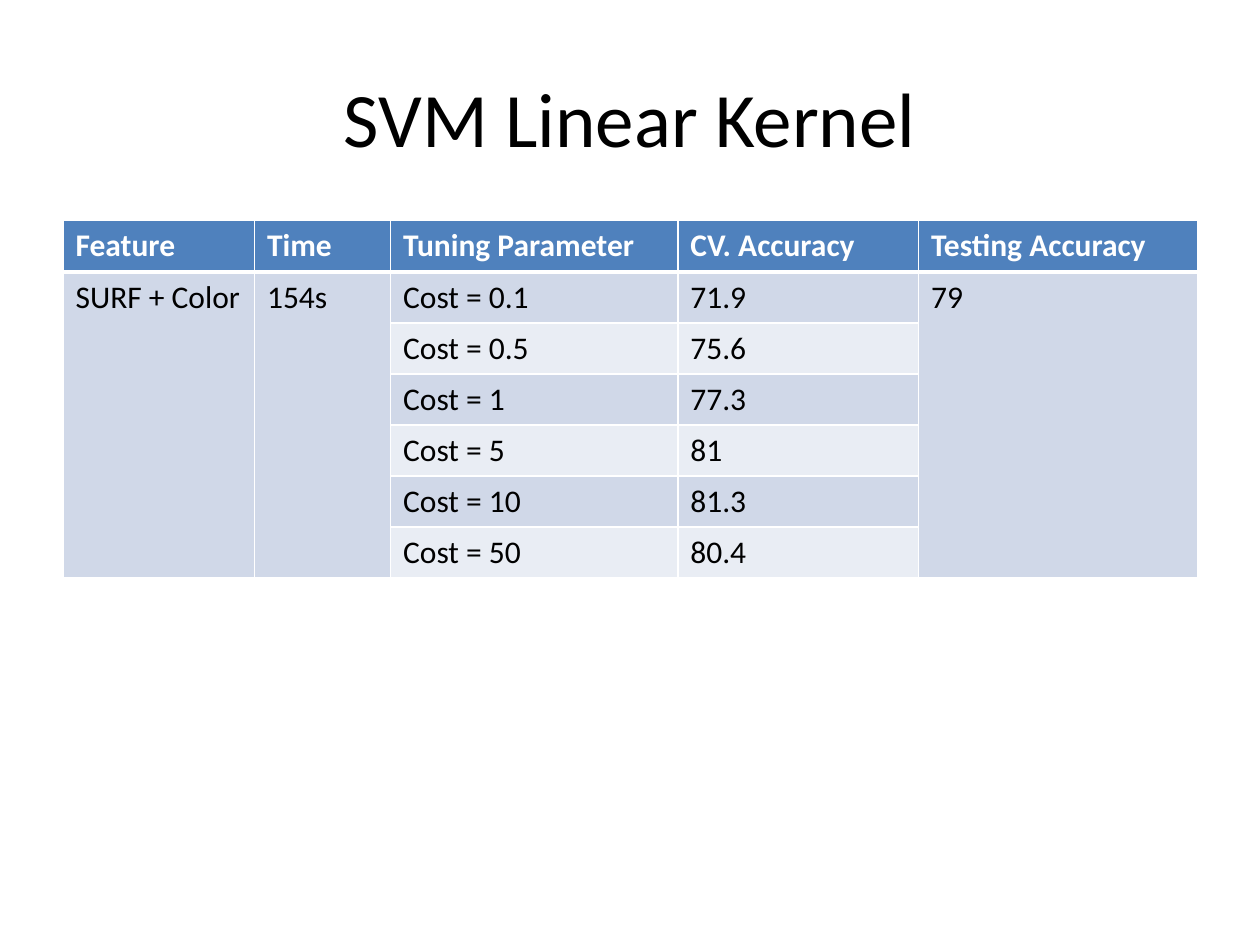
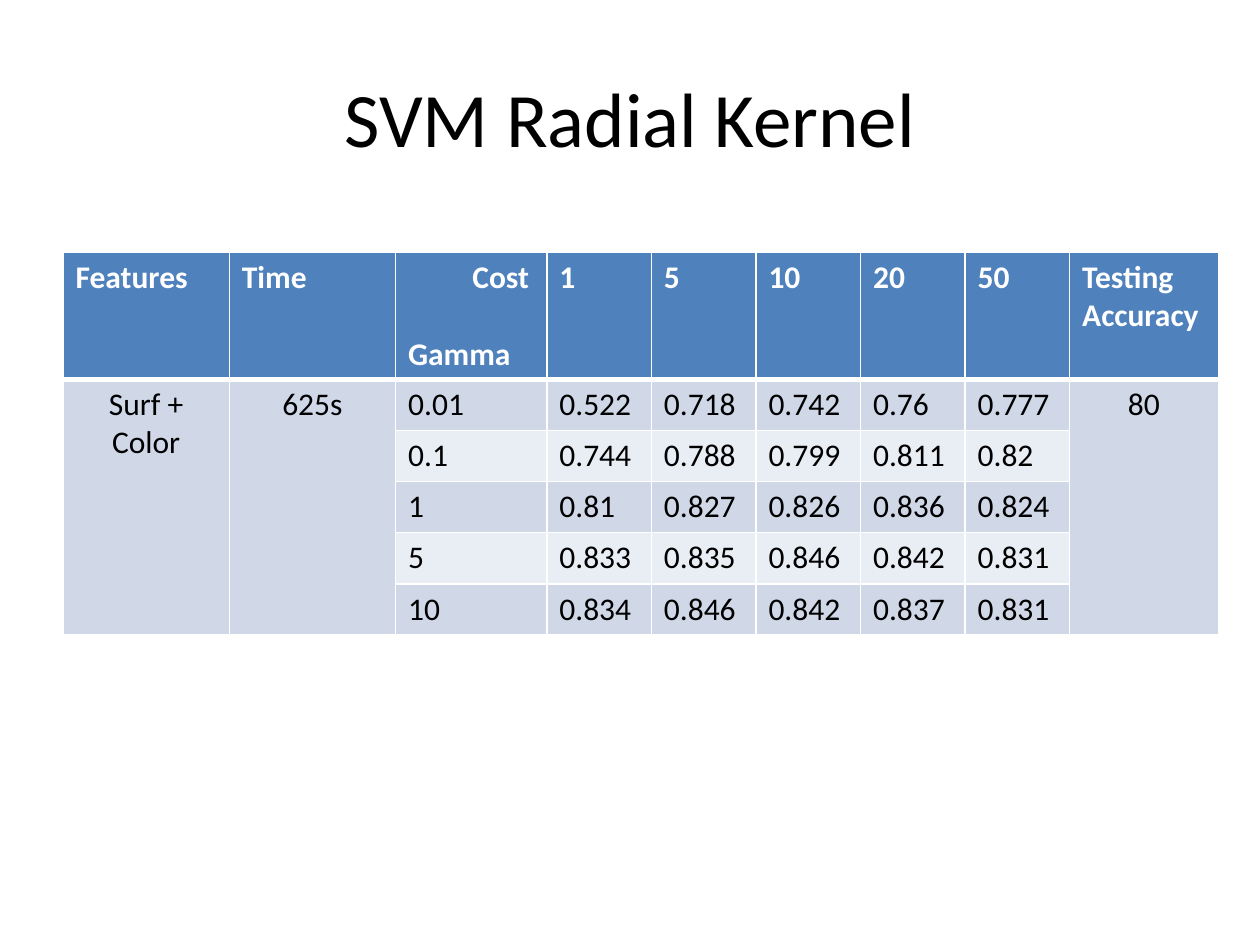
from dataclasses import dataclass

import pptx
import pptx.dml.color
import pptx.enum.text
import pptx.oxml
import pptx.oxml.ns
import pptx.util

Inches = pptx.util.Inches
Align = pptx.enum.text.PP_ALIGN

# Shared style
FONT = "Calibri"
WHITE, BLACK = "FFFFFF", "000000"
HEADER_FILL = "4F81BD"
BAND_FILLS = ("D0D8E8", "E9EDF4")
THIN, THICK = 1, 3


@dataclass
class Line:
    text: str
    indent: float = 0
    space_before: float = 0


@dataclass
class KernelResult:
    title: str
    top: float
    height: float
    header_height: float
    columns: list[float]
    header: list[str | list[Line]]
    summary: list[str]  # two leading cells and the last one, each spanning all body rows
    summary_align: Align
    scores: list[list[str]]


RESULTS = [
    KernelResult(
        title="SVM Linear Kernel",
        top=1.75, height=2.84, header_height=0.41,
        columns=[1.52, 1.08, 2.28, 1.91, 2.22],
        header=["Feature", "Time", "Tuning Parameter", "CV. Accuracy", "Testing Accuracy"],
        summary=["SURF + Color", "154s", "79"],
        summary_align=Align.LEFT,
        scores=[
            ["Cost = 0.1", "71.9"],
            ["Cost = 0.5", "75.6"],
            ["Cost = 1", "77.3"],
            ["Cost = 5", "81"],
            ["Cost = 10", "81.3"],
            ["Cost = 50", "80.4"],
        ],
    ),
    KernelResult(
        title="SVM Radial Kernel",
        top=2, height=3.04, header_height=1.01,
        columns=[1.32, 1.32, 1.2] + [0.83] * 5 + [1.18],
        header=["Features", "Time",
                [Line("Cost", indent=0.51), Line("Gamma", space_before=22)],
                "1", "5", "10", "20", "50", "Testing Accuracy"],
        summary=["Surf + Color", "625s", "80"],
        summary_align=Align.CENTER,
        scores=[
            ["0.01", "0.522", "0.718", "0.742", "0.76", "0.777"],
            ["0.1", "0.744", "0.788", "0.799", "0.811", "0.82"],
            ["1", "0.81", "0.827", "0.826", "0.836", "0.824"],
            ["5", "0.833", "0.835", "0.846", "0.842", "0.831"],
            ["10", "0.834", "0.846", "0.842", "0.837", "0.831"],
        ],
    ),
]


def rgb(color: str) -> pptx.dml.color.RGBColor:
    return pptx.dml.color.RGBColor.from_string(color)


def write_text(frame, text: str | list[Line], *, size: float = 18, color: str = BLACK,
               bold: bool = False, align: Align = Align.LEFT) -> None:
    lines = [Line(text)] if isinstance(text, str) else text
    frame.word_wrap = True
    for index, line in enumerate(lines):
        paragraph = frame.add_paragraph() if index else frame.paragraphs[0]
        paragraph.alignment = align
        if line.space_before:
            paragraph.space_before = pptx.util.Pt(line.space_before)
        if line.indent:
            paragraph._p.get_or_add_pPr().set("marL", str(Inches(line.indent)))
        run = paragraph.add_run()
        run.text = line.text
        run.font.name = FONT
        run.font.size = pptx.util.Pt(size)
        run.font.bold = bold
        run.font.color.rgb = rgb(color)


def style_cell(cell, fill: str, top: float, bottom: float) -> None:
    """Set the white borders and the fill of one cell."""
    properties = cell._tc.get_or_add_tcPr()
    for side, width in (("L", THIN), ("R", THIN), ("T", top), ("B", bottom)):
        properties.append(pptx.oxml.parse_xml(
            f'<a:ln{side} {pptx.oxml.ns.nsdecls("a")} w="{pptx.util.Pt(width)}">'
            f'<a:solidFill><a:srgbClr val="{WHITE}"/></a:solidFill></a:ln{side}>'))
    cell.fill.solid()
    cell.fill.fore_color.rgb = rgb(fill)


def add_title(slide, title: str) -> None:
    frame = slide.shapes.add_textbox(Inches(0.5), Inches(0.3), Inches(9), Inches(1.25)).text_frame
    frame.vertical_anchor = pptx.enum.text.MSO_ANCHOR.MIDDLE
    write_text(frame, title, size=44, align=Align.CENTER)


def add_results_table(slide, result: KernelResult) -> None:
    row_count, column_count = len(result.scores) + 1, len(result.columns)
    table = slide.shapes.add_table(
        row_count, column_count, Inches(0.5), Inches(result.top),
        Inches(sum(result.columns)), Inches(result.height)).table
    table.horz_banding = False
    for column, width in zip(table.columns, result.columns):
        column.width = Inches(width)

    # Row heights, fills and borders
    body_height = (result.height - result.header_height) / len(result.scores)
    for index, row in enumerate(table.rows):
        row.height = Inches(body_height if index else result.header_height)
        fill = BAND_FILLS[(index - 1) % 2] if index else HEADER_FILL
        for cell in row.cells:
            style_cell(cell, fill, top=THICK if index == 1 else THIN,
                       bottom=THIN if index else THICK)

    # Header
    for column, heading in enumerate(result.header):
        write_text(table.cell(0, column).text_frame, heading, color=WHITE, bold=True)

    # Cells spanning the body
    for column, text in zip((0, 1, column_count - 1), result.summary):
        cell = table.cell(1, column)
        cell.merge(table.cell(row_count - 1, column))
        write_text(cell.text_frame, text, align=result.summary_align)

    # Tuning scores
    for row, scores in enumerate(result.scores, start=1):
        for column, score in enumerate(scores, start=2):
            write_text(table.cell(row, column).text_frame, score)


def main() -> None:
    deck = pptx.Presentation()
    deck.slide_width, deck.slide_height = Inches(10), Inches(7.5)
    for result in RESULTS:
        slide = deck.slides.add_slide(deck.slide_layouts[6])
        add_title(slide, result.title)
        add_results_table(slide, result)
    deck.save("out.pptx")


if __name__ == "__main__":
    main()
